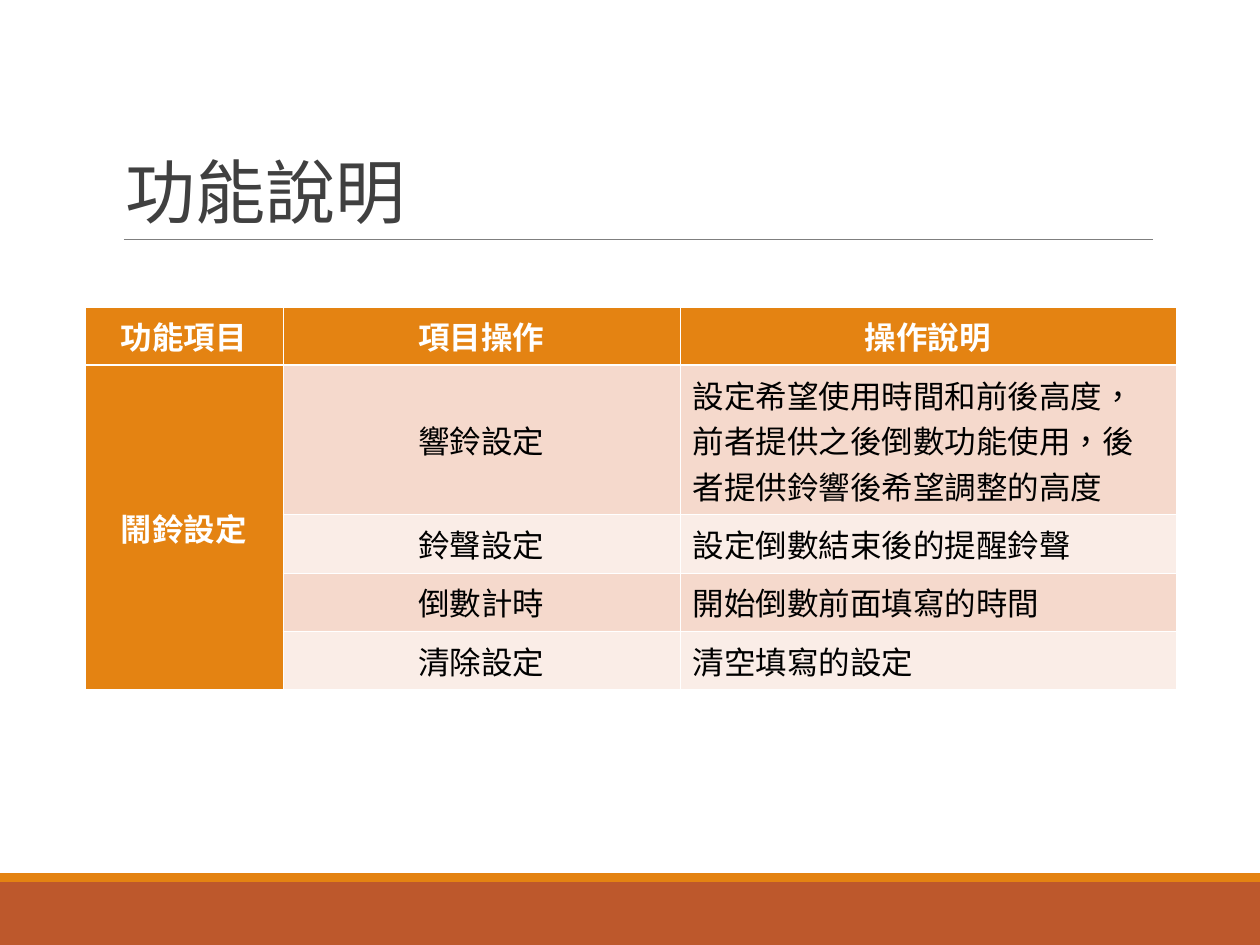
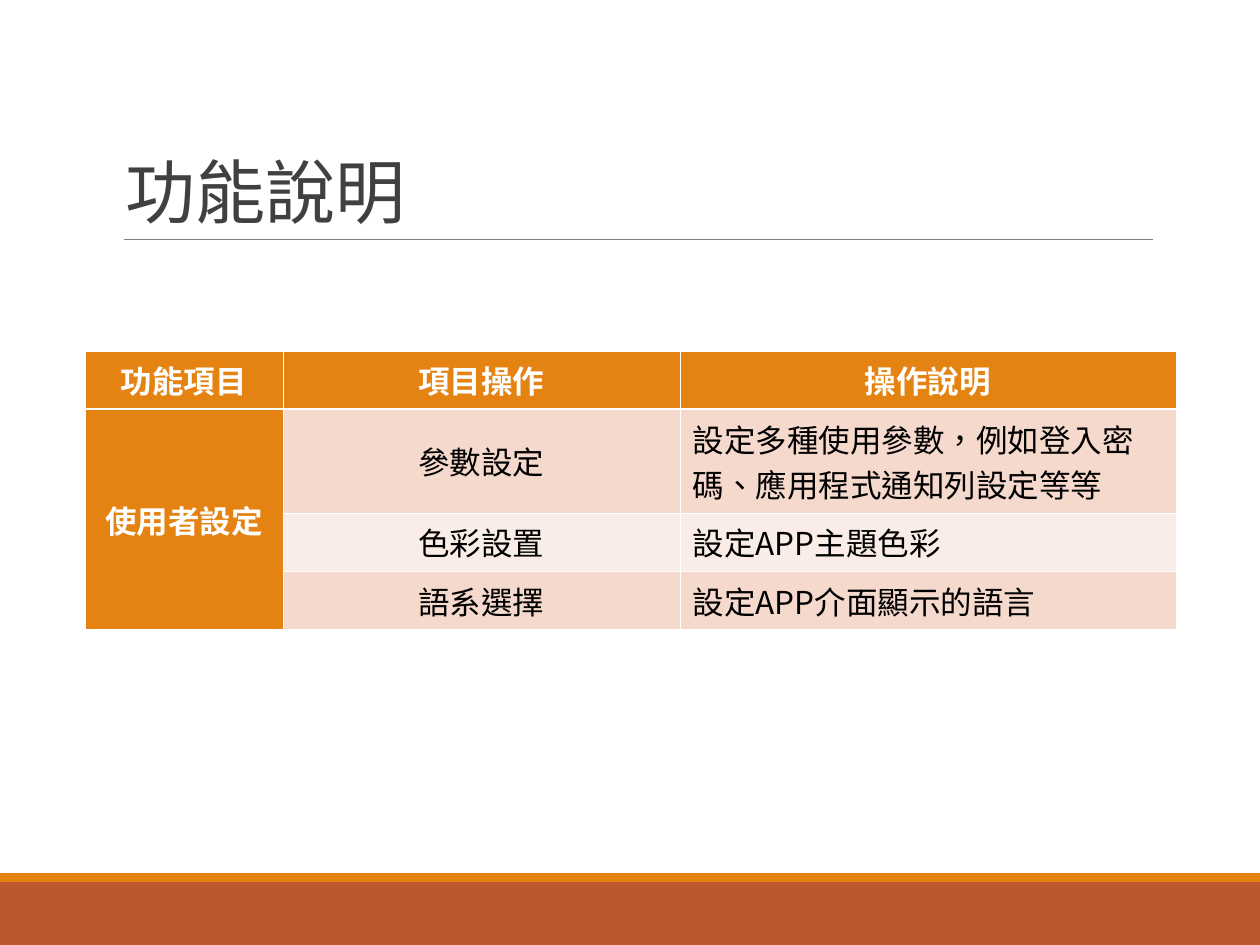
from dataclasses import dataclass
from lxml.etree import SubElement
from pptx import Presentation
from pptx.dml.color import RGBColor
from pptx.enum.shapes import MSO_CONNECTOR, MSO_SHAPE
from pptx.enum.text import MSO_ANCHOR, MSO_AUTO_SIZE, PP_ALIGN
from pptx.oxml import parse_xml
from pptx.oxml.ns import nsdecls, qn
from pptx.util import Emu, Pt


@dataclass(frozen=True)
class Theme:
    orange: str = "E48312"
    rust: str = "BD582C"
    rule: str = "7F7F7F"
    title: str = "404040"
    white: str = "FFFFFF"
    black: str = "000000"
    stripes: tuple = ("F5D9CC", "FAEDE7")
    title_font: str = "Calibri"
    table_font: str = "Noto Sans CJK SC"
    title_size: int = 40
    table_size: int = 18
    thin: float = 0.45
    thick: float = 1.47


T = Theme()


def px(n):
    return Emu(round(n * 914400 / 126))


def put_text(tf, text, font, size, color, bold=False, align=PP_ALIGN.LEFT,
             anchor=MSO_ANCHOR.MIDDLE, spacing=None, east_asian=None):
    tf.word_wrap = True
    tf.vertical_anchor = anchor
    p = tf.paragraphs[0]
    p.alignment = align
    if spacing:
        p.line_spacing = spacing
    r = p.add_run()
    r.text = text
    r.font.name = font
    r.font.size = Pt(size)
    r.font.bold = bold
    r.font.color.rgb = RGBColor.from_string(color)
    rPr = r.font._element
    rPr.set("lang", "zh-TW")
    if east_asian:
        rPr.find(qn("a:latin")).addnext(
            parse_xml(f'<a:ea {nsdecls("a")} typeface="{east_asian}"/>'))


HEADERS = ("功能項目", "項目操作", "操作說明")
COL_WIDTHS = (198, 397, 496)
ROW_H, EXTRA_LINE_H = 51, 37
BANDS = ((882, 63, T.rust), (873, 9, T.orange))

FEATURES = (
    (307, "鬧鈴設定", (
        ("響鈴設定", "設定希望使用時間和前後高度，前者提供之後倒數功能使用，後者提供鈴響後希望調整的高度", 3),
        ("鈴聲設定", "設定倒數結束後的提醒鈴聲", 1),
        ("倒數計時", "開始倒數前面填寫的時間", 1),
        ("清除設定", "清空填寫的設定", 1),
    )),
    (351, "使用者設定", (
        ("參數設定", "設定多種使用參數，例如登入密碼、應用程式通知列設定等等", 2),
        ("色彩設置", "設定APP主題色彩", 1),
        ("語系選擇", "設定APP介面顯示的語言", 1),
    )),
)

prs = Presentation()
prs.slide_width, prs.slide_height = px(1260), px(945)

for table_top, feature, operations in FEATURES:
    s = prs.slides.add_slide(prs.slide_layouts[5])

    for top, height, color in BANDS:
        sp = s.shapes.add_shape(MSO_SHAPE.RECTANGLE, px(0), px(top), px(1260), px(height))
        sp.shadow.inherit = False
        sp.fill.solid()
        sp.fill.fore_color.rgb = RGBColor.from_string(color)
        sp.line.fill.background()

    rule = s.shapes.add_connector(MSO_CONNECTOR.STRAIGHT, px(124), px(239), px(1153), px(239))
    rule.line.color.rgb = RGBColor.from_string(T.rule)
    rule.line.width = Pt(0.5)
    SubElement(rule._element.spPr, qn("a:effectLst"))

    title = s.shapes.title
    title.left, title.top, title.width, title.height = px(113), px(39), px(1040), px(200)
    title.text_frame.auto_size = MSO_AUTO_SIZE.NONE
    put_text(title.text_frame, "功能說明", T.title_font, T.title_size, T.title,
             anchor=MSO_ANCHOR.BOTTOM, spacing=0.85)

    heights = [ROW_H] + [ROW_H + EXTRA_LINE_H * (lines - 1) for *_, lines in operations]
    table = s.shapes.add_table(len(heights), len(COL_WIDTHS), px(85), px(table_top),
                               px(sum(COL_WIDTHS)), px(sum(heights))).table
    for column, width in zip(table.columns, COL_WIDTHS):
        column.width = px(width)
    for row, height in zip(table.rows, heights):
        row.height = px(height)
    table.cell(1, 0).merge(table.cell(len(operations), 0))

    rows = [HEADERS] + [(feature, name, note) for name, note, _ in operations]
    for i, texts in enumerate(rows):
        for j, text in enumerate(texts):
            cell = table.cell(i, j)
            strong = i == 0 or j == 0
            cell.fill.solid()
            cell.fill.fore_color.rgb = RGBColor.from_string(
                T.orange if strong else T.stripes[(i - 1) % 2])
            edges = {"lnL": T.thin, "lnR": T.thin,
                     "lnT": T.thick if i == 1 else T.thin,
                     "lnB": T.thick if i == 0 else T.thin}
            tcPr = cell._tc.get_or_add_tcPr()
            for k, (edge, width) in enumerate(edges.items()):
                tcPr.insert(k, parse_xml(
                    f'<a:{edge} {nsdecls("a")} w="{Pt(width)}"><a:solidFill>'
                    f'<a:srgbClr val="{T.white}"/></a:solidFill></a:{edge}>'))
            if cell.is_spanned:
                continue
            put_text(cell.text_frame, text, T.table_font, T.table_size,
                     T.white if strong else T.black, bold=strong,
                     align=PP_ALIGN.LEFT if i and j == 2 else PP_ALIGN.CENTER,
                     east_asian=T.table_font)
            cell.vertical_anchor = MSO_ANCHOR.MIDDLE if j == 1 or (i and j == 0) else MSO_ANCHOR.TOP

prs.save("out.pptx")
